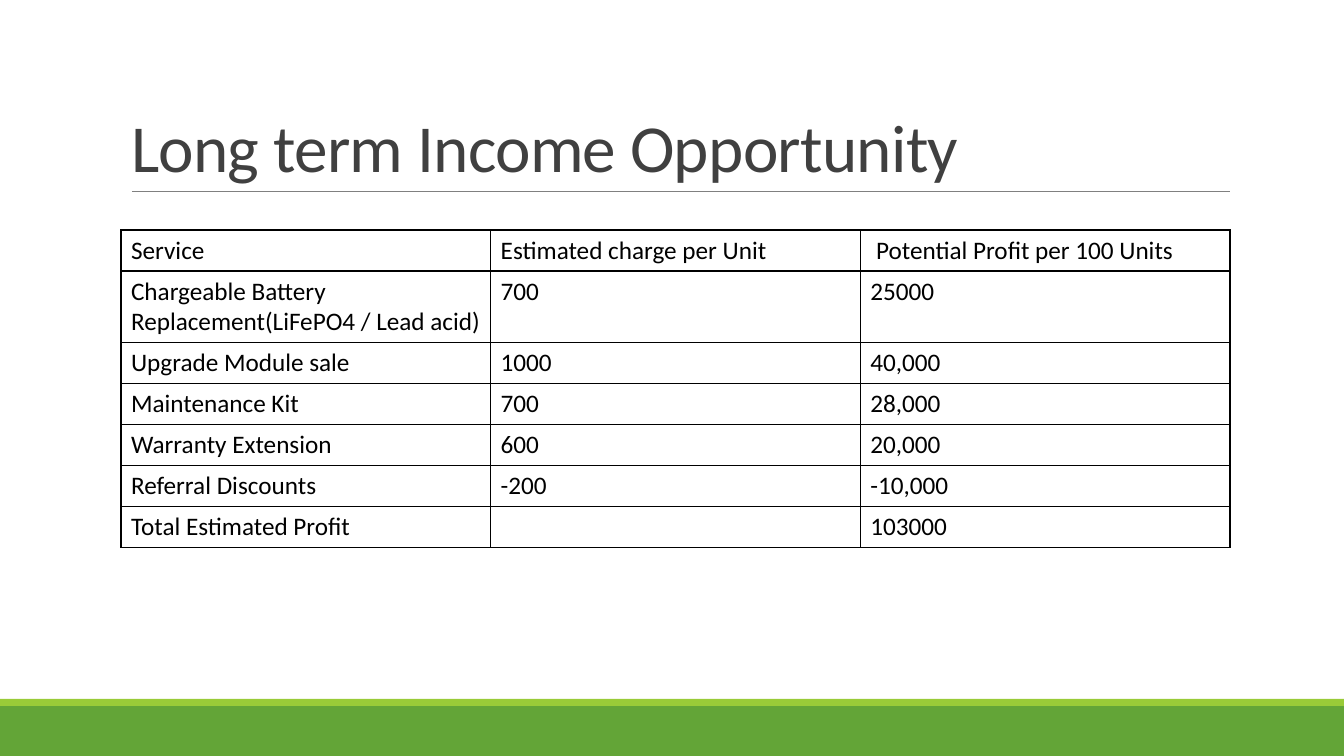
from lxml import etree
from pptx import Presentation
from pptx.dml.color import RGBColor
from pptx.enum.shapes import MSO_CONNECTOR, MSO_SHAPE
from pptx.enum.text import MSO_ANCHOR, MSO_AUTO_SIZE, PP_ALIGN
from pptx.oxml import parse_xml
from pptx.oxml.ns import nsdecls, qn
from pptx.util import Emu, Inches, Pt

RECT, STRAIGHT = MSO_SHAPE.RECTANGLE, MSO_CONNECTOR.STRAIGHT
BOTTOM, LEFT, NO_FIT = MSO_ANCHOR.BOTTOM, PP_ALIGN.LEFT, MSO_AUTO_SIZE.NONE

GREEN = RGBColor(0x63, 0xA5, 0x37)
LIME = RGBColor(0x99, 0xCB, 0x38)
GREY = RGBColor(0x80, 0x80, 0x80)
DARK = RGBColor(0x40, 0x40, 0x40)
BLACK = RGBColor(0, 0, 0)

PX_PER_INCH = 100.8
SLIDE_W, SLIDE_H = 1344, 756
TITLE_TEXT = "Long term Income Opportunity"
TITLE_FONT = {"name": "Calibri", "size": Pt(48), "bold": False}
CELL_FONT = {"name": "Calibri", "size": Pt(18), "bold": False}
ROW_H, TALL_ROW_H = 41, 71
INCOME_ROWS = [
    ("Service", "Estimated charge per Unit", " Potential Profit per 100 Units"),
    ("Chargeable Battery Replacement(LiFePO4 / Lead acid)", "700", "25000"),
    ("Upgrade Module sale", "1000", "40,000"),
    ("Maintenance Kit", "700", "28,000"),
    ("Warranty Extension", "600", "20,000"),
    ("Referral Discounts", "-200", "-10,000"),
    ("Total Estimated Profit", "", "103000"),
]


def px(n):
    return Emu(round(n * Inches(1) / PX_PER_INCH))


def set_font(font, values, color):
    for key, value in values.items():
        setattr(font, key, value)
    font.color.rgb = color


def add_footer(slide, x, y, w, h):
    """Thin lime strip above a green band."""
    strip = 7
    for top, height, color in ((y + strip, h - strip, GREEN), (y, strip, LIME)):
        s = slide.shapes.add_shape(RECT, px(x), px(top), px(w), px(height))
        s.shadow.inherit = False
        s.fill.solid()
        s.fill.fore_color.rgb = color
        s.line.fill.background()


def add_title(slide, x, y, w, h):
    """Title with a hairline under it."""
    rule = slide.shapes.add_connector(
        STRAIGHT, px(x + 11), px(y + h), px(x + w), px(y + h))
    rule.line.color.rgb = GREY
    rule.line.width = Pt(0.5)
    etree.SubElement(rule.element.spPr, qn("a:effectLst"))

    title = slide.shapes.title
    title.left, title.top, title.width, title.height = map(px, (x, y, w, h))
    tf = title.text_frame
    tf.word_wrap = True
    tf.auto_size = NO_FIT
    tf.vertical_anchor = BOTTOM
    p = tf.paragraphs[0]
    p.alignment = LEFT
    p.line_spacing = 0.85
    r = p.add_run()
    r.text = TITLE_TEXT
    set_font(r.font, TITLE_FONT, DARK)
    r.font._element.set("spc", "-50")


def add_borders(cell):
    tc_pr = cell._tc.get_or_add_tcPr()
    for i, side in enumerate(("lnL", "lnR", "lnT", "lnB")):
        tc_pr.insert(i, parse_xml(
            f'<a:{side} {nsdecls("a")} w="{Pt(1)}"><a:solidFill>'
            f'<a:srgbClr val="{BLACK}"/></a:solidFill></a:{side}>'))


def add_income_table(slide, x, y, w):
    """Plain ruled grid of services, charges and profits."""
    heights = [TALL_ROW_H if i == 1 else ROW_H for i in range(len(INCOME_ROWS))]
    n_cols = len(INCOME_ROWS[0])
    table = slide.shapes.add_table(
        len(INCOME_ROWS), n_cols, px(x), px(y), px(w), px(sum(heights))).table
    table.first_row = table.horz_banding = False
    for col in table.columns:
        col.width = px(w / n_cols)
    for row, height, texts in zip(table.rows, heights, INCOME_ROWS):
        row.height = px(height)
        for cell, text in zip(row.cells, texts):
            cell.fill.background()
            add_borders(cell)
            p = cell.text_frame.paragraphs[0]
            if text:
                r = p.add_run()
                r.text = text
                set_font(r.font, CELL_FONT, BLACK)


def main():
    prs = Presentation()
    prs.slide_width, prs.slide_height = px(SLIDE_W), px(SLIDE_H)
    title_only = prs.slide_layouts[5]
    slide = prs.slides.add_slide(title_only)
    add_footer(slide, 0, 699, SLIDE_W, SLIDE_H - 699)
    add_title(slide, 121, 31, 1109, 160)
    add_income_table(slide, 121, 230, 1109)
    prs.save("out.pptx")


if __name__ == "__main__":
    main()
